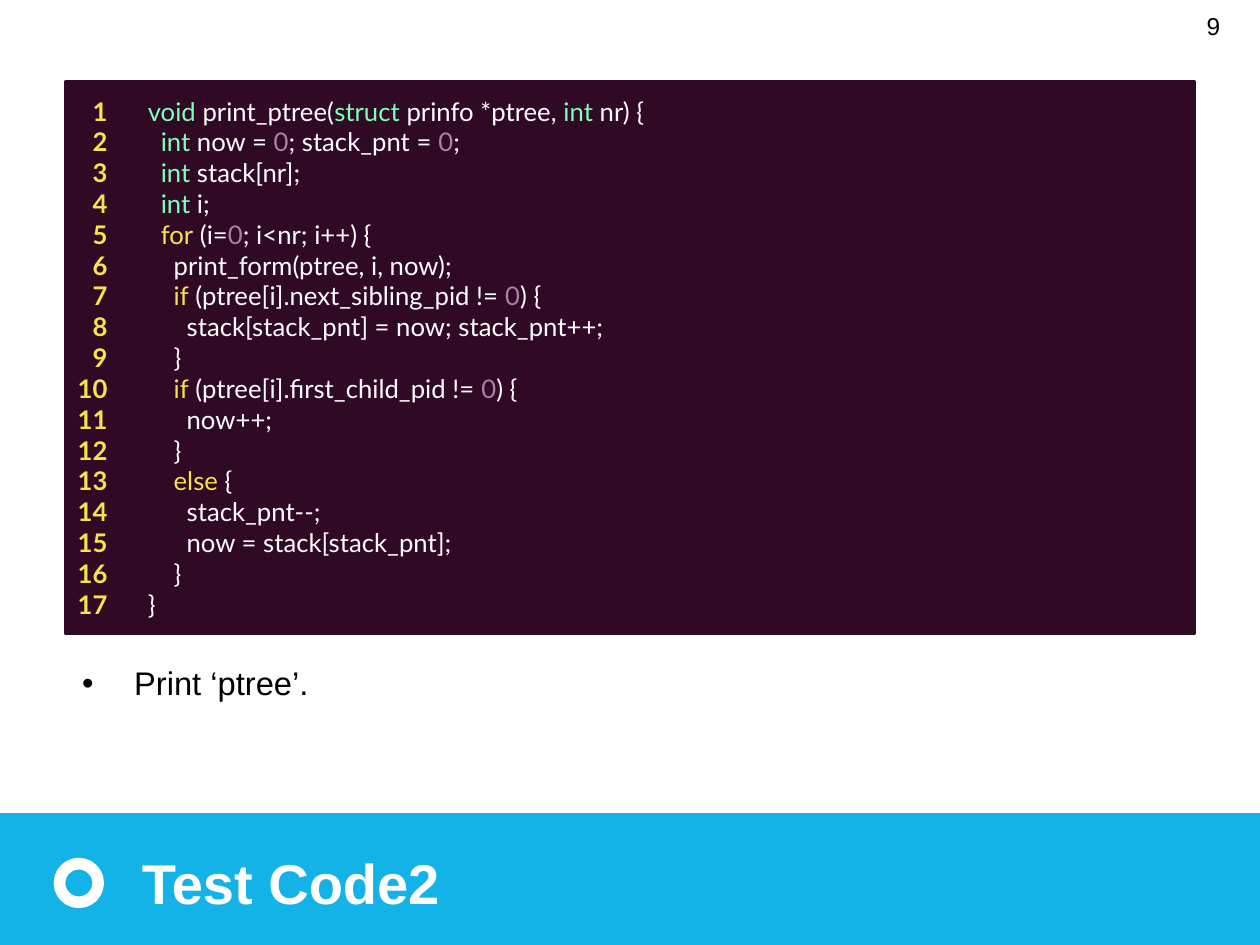
from dataclasses import dataclass
from itertools import groupby

from lxml.etree import SubElement
from pptx import Presentation
from pptx.dml.color import RGBColor
from pptx.enum.shapes import MSO_SHAPE
from pptx.enum.text import MSO_ANCHOR, PP_ALIGN
from pptx.oxml.ns import qn
from pptx.util import Inches, Pt

WIDTH = 7.5
HEIGHT = WIDTH * 3 / 4


@dataclass(frozen=True)
class Theme:
    """Colours, fonts and type sizes of the slide."""
    white: str = "FFFFFF"
    black: str = "000000"
    band: str = "13B3E7"
    terminal: str = "300A24"
    type_word: str = "80FFB8"
    control_word: str = "F8E24D"
    number: str = "AD7FA8"
    body_font: str = "Arial"
    code_font: str = "Lato"
    page_size: float = 10.5
    code_size: float = 11
    bullet_size: float = 14
    title_size: float = 24


THEME = Theme()
WORD_COLOURS = {
    **dict.fromkeys(("void", "struct", "int"), THEME.type_word),
    **dict.fromkeys(("for", "if", "else"), THEME.control_word),
    "0": THEME.number,
}
CODE = """\
void print_ptree(struct prinfo *ptree, int nr) {
  int now = 0; stack_pnt = 0;
  int stack[nr];
  int i;
  for (i=0; i<nr; i++) {
    print_form(ptree, i, now);
    if (ptree[i].next_sibling_pid != 0) {
      stack[stack_pnt] = now; stack_pnt++;
    }
    if (ptree[i].first_child_pid != 0) {
      now++;
    }
    else {
      stack_pnt--;
      now = stack[stack_pnt];
    }
}""".splitlines()


def box(left, top, width, height):
    """Turn percentages of the slide's size into lengths."""
    return (Inches(WIDTH * left / 100), Inches(HEIGHT * top / 100),
            Inches(WIDTH * width / 100), Inches(HEIGHT * height / 100))


def add_run(p, text, size, colour, font=THEME.body_font, bold=False):
    """Add one formatted run to a paragraph."""
    r = p.add_run()
    r.text = text
    r.font.size = Pt(size)
    r.font.name = font
    r.font.bold = bold
    r.font.color.rgb = RGBColor.from_string(colour)


def set_indent(p, margin, first=0):
    """Set a paragraph's left margin and first-line indent in inches."""
    pPr = p._p.get_or_add_pPr()
    pPr.set("marL", str(Inches(margin)))
    pPr.set("indent", str(Inches(first)))
    return pPr


def add_label(s, place, text, size, colour, bold=False):
    """Add a one-line text box and return its text frame."""
    tf = s.shapes.add_textbox(*box(*place)).text_frame
    tf.word_wrap = True
    add_run(tf.paragraphs[0], text, size, colour, bold=bold)
    return tf


def add_plain(s, kind, place, fill=None, line=None, line_width=0):
    """Add a shadowless preset shape."""
    sp = s.shapes.add_shape(kind, *box(*place))
    sp.shadow.inherit = False
    if fill:
        sp.fill.solid()
        sp.fill.fore_color.rgb = RGBColor.from_string(fill)
    else:
        sp.fill.background()
    if line:
        sp.line.color.rgb = RGBColor.from_string(line)
        sp.line.width = Pt(line_width)
    else:
        sp.line.fill.background()
    return sp


def add_code_panel(s, left, width, inset_left, inset_right, align):
    """Add a dark panel and return one paragraph per code line."""
    sp = add_plain(s, MSO_SHAPE.ROUNDED_RECTANGLE, (left, 8.67, width, 58.3),
                   THEME.terminal, THEME.terminal, 1.5)
    sp.adjustments[0] = 0
    tf = sp.text_frame
    tf.word_wrap = True
    tf.vertical_anchor = MSO_ANCHOR.MIDDLE
    tf.margin_left, tf.margin_right = Inches(inset_left), Inches(inset_right)
    paragraphs = [tf.paragraphs[0]] + [tf.add_paragraph() for _ in CODE[1:]]
    for p in paragraphs:
        p.alignment = align
    return paragraphs


def coloured_parts(line):
    """Split a code line into (colour, text) parts."""
    words = ["".join(g) for _, g in groupby(line, lambda c: c.isalnum() or c == "_")]
    for colour, part in groupby(words, lambda w: WORD_COLOURS.get(w, THEME.white)):
        yield colour, "".join(part)


def add_listing(s):
    """Add the highlighted code and its line numbers."""
    for p, line in zip(add_code_panel(s, 9.07, 85.73, 0.2, 0.2, PP_ALIGN.LEFT), CODE):
        code = line.lstrip()
        set_indent(p, 0.077 * (len(line) - len(code)) / 2)
        for colour, part in coloured_parts(code):
            add_run(p, part, THEME.code_size, colour, THEME.code_font)
    numbers = add_code_panel(s, 5.2, 3.87, 0, 0.04, PP_ALIGN.RIGHT)
    for number, p in enumerate(numbers, 1):
        add_run(p, str(number), THEME.code_size, THEME.control_word, THEME.code_font, True)


def add_bullet(s, place, text):
    """Add a bulleted line with a hanging indent."""
    tf = add_label(s, place, text, THEME.bullet_size, THEME.black)
    pPr = set_indent(tf.paragraphs[0], 0.31, -0.31)
    SubElement(pPr, qn("a:buFont")).set("typeface", THEME.body_font)
    SubElement(pPr, qn("a:buChar")).set("char", "•")


def add_page_number(s, place, text):
    """Add the page number, centred in height."""
    tf = add_label(s, place, text, THEME.page_size, THEME.black)
    tf.vertical_anchor = MSO_ANCHOR.MIDDLE
    tf.margin_top = tf.margin_bottom = Inches(0.1)


def main():
    """Build the slide and save it."""
    prs = Presentation()
    prs.slide_width, prs.slide_height = Inches(WIDTH), Inches(HEIGHT)
    s = prs.slides.add_slide(prs.slide_layouts[6])
    add_page_number(s, (94.45, 0, 5.55, 5.5), "9")
    add_plain(s, MSO_SHAPE.RECTANGLE, (0, 86.04, 100, 13.96), THEME.band)
    add_label(s, (9.95, 88.9, 88, 8.9), "Test Code2", THEME.title_size, THEME.white, True)
    add_plain(s, MSO_SHAPE.OVAL, (4.72, 91.4, 3.07, 4.09), line=THEME.white, line_width=5)
    add_listing(s)
    add_bullet(s, (5.2, 69.3, 88.53, 6.05), "Print ‘ptree’.")
    prs.save("out.pptx")


main()
